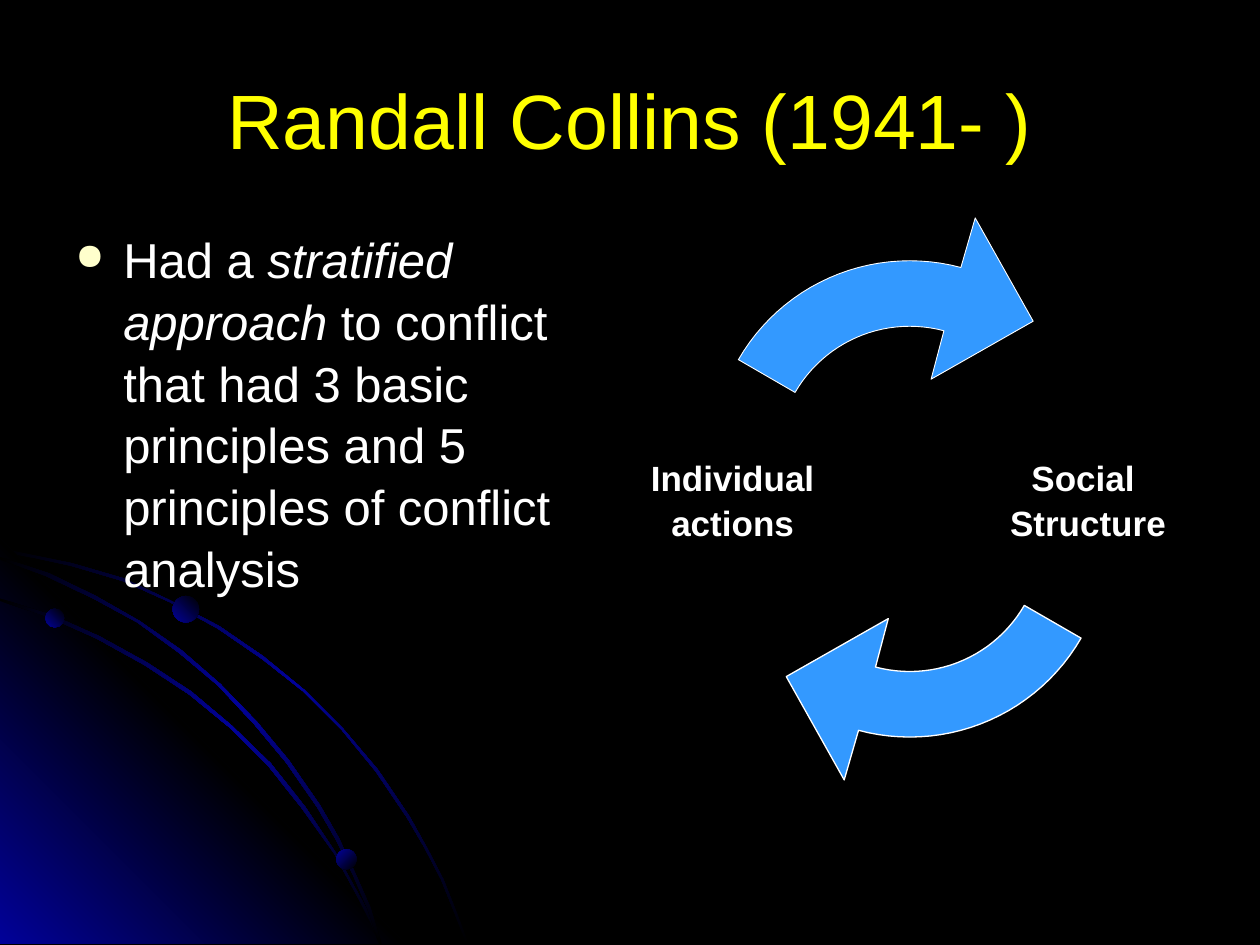
"""Build the Randall Collins slide with its cycle of actions and structure."""
import copy
import math

from lxml import etree
from pptx import Presentation
from pptx import util as u
from pptx.dml.color import RGBColor
from pptx.enum import shapes, text
from pptx.oxml.ns import qn

BLACK, BLUE, WHITE = "000000", "010199", "FFFFFF"


def paint(shape, colours, angle=0, border=None):
    shape.shadow.inherit = False
    if len(colours) == 1:
        shape.fill.solid()
        shape.fill.fore_color.rgb = RGBColor.from_string(colours[0])
    else:
        shape.fill.gradient()
        shape.fill.gradient_angle = 360 - angle
        stop_list = shape.element.spPr.find(".//" + qn("a:gsLst"))
        for _ in colours[2:]:
            stop_list.append(copy.deepcopy(stop_list[0]))
        for i, (stop, colour) in enumerate(zip(shape.fill.gradient_stops, colours)):
            stop.color.rgb = RGBColor.from_string(colour)
            stop.position = i / (len(colours) - 1)
    if border:
        shape.line.color.rgb = RGBColor.from_string(WHITE)
        shape.line.width = u.Pt(border)
    else:
        shape.line.fill.background()


def outline(points):
    corners = [(u.Inches(x), u.Inches(y)) for x, y in points]
    builder = slide.shapes.build_freeform(*corners[0])
    builder.add_line_segments(corners[1:], close=True)
    return builder.convert_to_shape()


prs = Presentation()
prs.slide_width, prs.slide_height = u.Inches(10), u.Inches(7.5)
slide = prs.slides.add_slide(prs.slide_layouts[6])
slide.background.fill.solid()
slide.background.fill.fore_color.rgb = RGBColor.from_string(BLACK)

outer_orbit = [
    (0.57, 4.47), (0.28, 4.41), (0, 4.35), (0, 4.38), (0.28, 4.43), (0.56, 4.49),
    (0.97, 4.61), (1.35, 4.78), (1.73, 4.99), (2.08, 5.23), (2.41, 5.49), (2.71, 5.79),
    (2.98, 6.12), (3.23, 6.49), (3.37, 6.73), (3.5, 6.98), (3.6, 7.23), (3.7, 7.49),
    (3.72, 7.49), (3.62, 7.23), (3.52, 6.98), (3.39, 6.73), (3.25, 6.48), (3, 6.11),
    (2.72, 5.78), (2.42, 5.48), (2.09, 5.21), (1.74, 4.97), (1.36, 4.77), (0.98, 4.59)]
corner_glow = [(3.22, 7.49), (0, 7.49), (0, 4.27)]
inner_orbit = [
    (2.85, 7.14), (2.94, 7.32), (3.01, 7.49), (3.03, 7.49), (2.96, 7.3), (2.86, 7.12),
    (2.66, 6.76), (2.42, 6.4), (2.15, 6.06), (1.84, 5.76), (1.52, 5.49), (1.17, 5.26),
    (0.79, 5.05), (0.41, 4.88), (0, 4.75), (0, 4.77), (0.39, 4.9), (0.77, 5.07),
    (1.15, 5.28), (1.5, 5.51), (1.83, 5.78), (2.13, 6.08), (2.4, 6.42), (2.65, 6.77)]
middle_orbit = [
    (0, 4.42), (0, 4.44), (0.36, 4.57), (0.74, 4.75), (1.09, 4.94), (1.42, 5.18),
    (1.73, 5.44), (2.02, 5.75), (2.27, 6.05), (2.52, 6.41), (2.67, 6.67), (2.8, 6.94),
    (2.92, 7.22), (3.01, 7.49), (3.03, 7.49), (2.94, 7.2), (2.82, 6.93), (2.69, 6.65),
    (2.54, 6.39), (2.29, 6.03), (2.04, 5.73), (1.75, 5.43), (1.44, 5.16), (1.11, 4.93),
    (0.76, 4.73), (0.39, 4.55)]
paint(outline(outer_orbit), [BLACK, BLUE, BLACK], 225)
paint(outline(corner_glow), [BLUE, BLACK, BLUE], 135)
for orbit in (inner_orbit, middle_orbit):
    paint(outline(orbit), [BLACK, BLUE, BLACK], 225)

for left, top, size, angle in [(0.36, 4.83, 0.15, 135), (2.67, 6.74, 0.16, 225),
                               (1.37, 4.73, 0.21, 135)]:
    planet = slide.shapes.add_shape(shapes.MSO_SHAPE.OVAL, u.Inches(left), u.Inches(top),
                                    u.Inches(size), u.Inches(size))
    paint(planet, [BLACK, BLUE], angle)

sweep = [math.radians(degrees) for degrees in range(210, 286, 3)]
inner_arc = [(1.05 * math.cos(a), 1.05 * math.sin(a)) for a in reversed(sweep)]
outer_arc = [(1.57 * math.cos(a), 1.57 * math.sin(a)) for a in sweep]
arrow_head = [(0.52, -1.91), (0.98, -1.09), (0.17, -0.63)]
for turn, centre_y, border in [(1, 3.64, 0.5), (-1, 4.28, 0.75)]:
    arrow = outline([(7.22 + turn * x, centre_y + turn * y)
                     for x, y in inner_arc + outer_arc + arrow_head])
    paint(arrow, ["3399FF"], border=border)

middle, top_anchor = text.MSO_ANCHOR.MIDDLE, text.MSO_ANCHOR.TOP
centred, left_aligned = text.PP_ALIGN.CENTER, text.PP_ALIGN.LEFT
body = ("Had a stratified approach to conflict that had 3 basic principles "
        "and 5 principles of conflict analysis")
emphasis = "stratified approach "
wordings = [
    ("Randall Collins (1941- )", (0.5, 0.3, 9, 1.25), 44, "FFFF00", False, True, middle, centred),
    (body, (0.5, 1.75, 4.42, 4.92), 28, WHITE, False, True, top_anchor, left_aligned),
    ("Social \nStructure", (7.93, 3.25, 1.41, 1.42), 20, WHITE, True, False, middle, centred),
    ("Individual\nactions", (5.11, 3.25, 1.41, 1.42), 20, WHITE, True, False, middle, centred)]
for wording, place, size, colour, bold, wraps, anchor, alignment in wordings:
    frame = slide.shapes.add_textbox(*map(u.Inches, place)).text_frame
    frame.word_wrap = wraps
    frame.vertical_anchor = anchor
    frame.margin_left = frame.margin_right = u.Inches(0.1 if wraps else 0)
    frame.margin_top = frame.margin_bottom = u.Inches(0.05 if wraps else 0)
    frame.text = wording
    if wording == body:
        point = frame.paragraphs[0]
        before, after = body.split(emphasis)
        point.runs[0].text = before
        for part in (emphasis, after):
            point.add_run().text = part
        point.runs[1].font.italic = True
        indent = point._p.get_or_add_pPr()
        indent.set("marL", str(u.Inches(0.38)))
        indent.set("indent", str(u.Inches(-0.38)))
        bullet_colour = etree.SubElement(indent, qn("a:buClr"))
        etree.SubElement(bullet_colour, qn("a:srgbClr"), val="FFFFCC")
        etree.SubElement(indent, qn("a:buSzPct"), val="75000")
        etree.SubElement(indent, qn("a:buChar"), char="●")
    for paragraph in frame.paragraphs:
        paragraph.alignment = alignment
        paragraph.line_spacing = 1.05
        for run in paragraph.runs:
            run.font.name = "Arial"
            run.font.size = u.Pt(size)
            run.font.bold = bold
            run.font.color.rgb = RGBColor.from_string(colour)

prs.save("out.pptx")
